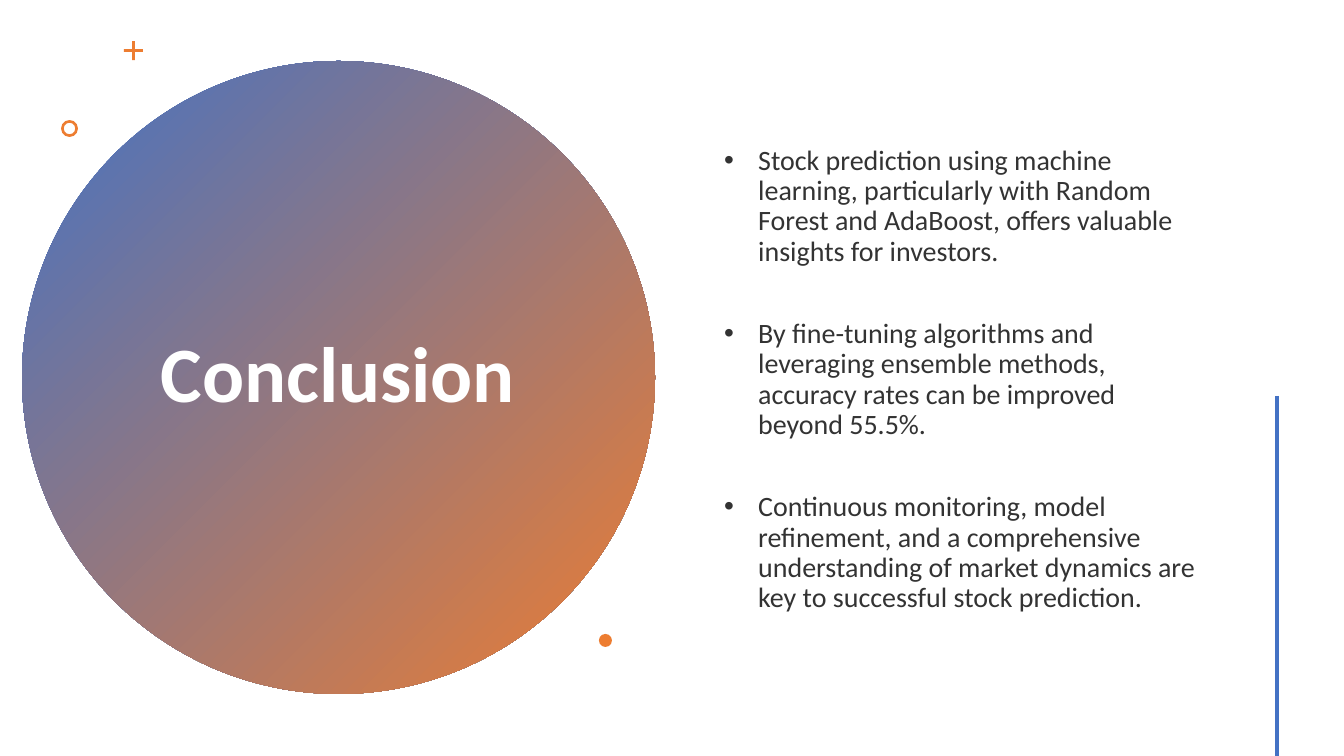
import pptx
import pptx.util
import pptx.dml.color
import pptx.enum.shapes
import pptx.enum.text
import lxml.etree

SHAPE = pptx.enum.shapes.MSO_SHAPE
ANCHOR = pptx.enum.text.MSO_ANCHOR
ALIGN = pptx.enum.text.PP_ALIGN
BLUE, ORANGE, WHITE, GREY = "4472C4", "ED7D31", "FFFFFF", "333333"


def px(count):
    return pptx.util.Emu(round(count * 914400 / 134.4))


def color(code):
    return pptx.dml.color.RGBColor.from_string(code)


deck = pptx.Presentation()
deck.slide_width, deck.slide_height = px(1344), px(756)
page = deck.slides.add_slide(deck.slide_layouts[5])

circle = page.shapes.add_shape(SHAPE.OVAL, px(22), px(61), px(633), px(633))
circle.shadow.inherit = False
circle.fill.gradient()
circle.fill.gradient_angle = 315
for stop, code, position in zip(circle.fill.gradient_stops, (BLUE, ORANGE), (0, 1)):
    stop.color.rgb = color(code)
    stop.position = position
circle.line.fill.background()

title = page.shapes.title
page.shapes._spTree.append(title._element)
title.left, title.top, title.width, title.height = px(137), px(142), px(402), px(470)
title.text_frame.text = "Conclusion"
title.text_frame.word_wrap = True
title.text_frame.auto_size = pptx.enum.text.MSO_AUTO_SIZE.NONE
title.text_frame.vertical_anchor = ANCHOR.MIDDLE
heading = title.text_frame.paragraphs[0]
heading.alignment = ALIGN.CENTER
heading.line_spacing = 0.9
heading.font.name = "Calibri"
heading.font.size = pptx.util.Pt(42)
heading.font.bold = True
heading.font.color.rgb = color(WHITE)

ornaments = [
    (SHAPE.CROSS, 124, 41, 19, 0.43),
    (SHAPE.DONUT, 61, 120, 17, 0.16),
    (SHAPE.OVAL, 599, 634, 13, None),
]
for kind, left, top, size, adjustment in ornaments:
    ornament = page.shapes.add_shape(kind, px(left), px(top), px(size), px(size))
    ornament.shadow.inherit = False
    ornament.fill.solid()
    ornament.fill.fore_color.rgb = color(ORANGE)
    ornament.line.fill.background()
    if adjustment:
        ornament.adjustments[0] = adjustment

points = [
    "Stock prediction using machine learning, particularly with Random Forest and AdaBoost, "
    "offers valuable insights for investors.",
    "By fine-tuning algorithms and leveraging ensemble methods, "
    "accuracy rates can be improved beyond 55.5%.",
    "Continuous monitoring, model refinement, and a comprehensive understanding "
    "of market dynamics are key to successful stock prediction.",
]
box = page.shapes.add_textbox(px(695), px(58), px(525), px(644))
box.text_frame.word_wrap = True
box.text_frame.vertical_anchor = ANCHOR.MIDDLE
for index, point in enumerate(points):
    para = box.text_frame.paragraphs[0] if index == 0 else box.text_frame.add_paragraph()
    para.text = point
    para.line_spacing = 0.9
    para.space_before = pptx.util.Pt(28 if index else 0)
    para.font.name = "Calibri"
    para.font.size = pptx.util.Pt(15)
    para.font.color.rgb = color(GREY)
    properties = para._p.get_or_add_pPr()
    properties.set("marL", str(px(50)))
    properties.set("indent", str(px(-34)))
    bullet_font = lxml.etree.Element(pptx.oxml.ns.qn("a:buFont"), typeface="Arial")
    bullet = lxml.etree.Element(pptx.oxml.ns.qn("a:buChar"), char="•")
    properties.find(pptx.oxml.ns.qn("a:defRPr")).addprevious(bullet_font)
    bullet_font.addnext(bullet)

accent = page.shapes.add_connector(
    pptx.enum.shapes.MSO_CONNECTOR.STRAIGHT, px(1277), px(396), px(1277), px(756)
)
accent.line.color.rgb = color(BLUE)
accent.line.width = pptx.util.Pt(2)
lxml.etree.SubElement(accent._element.spPr, pptx.oxml.ns.qn("a:effectLst"))

deck.save("out.pptx")
